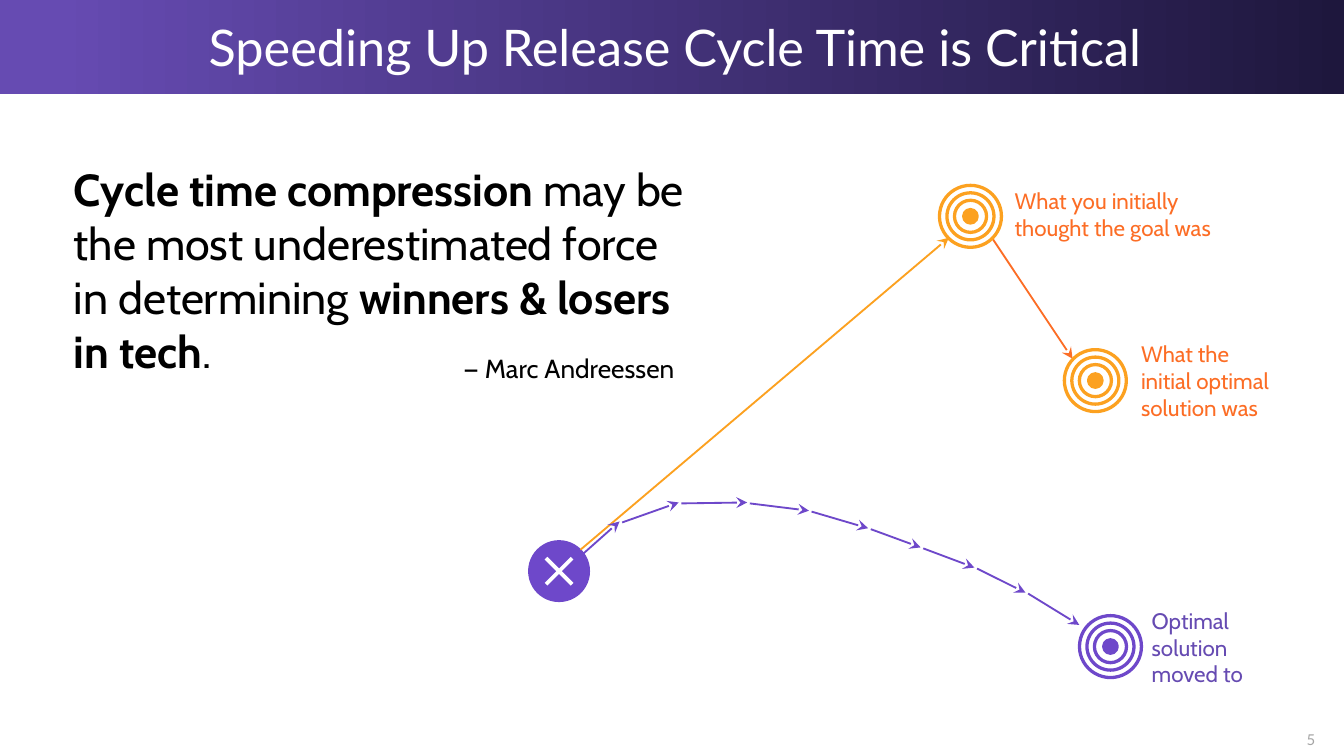
from itertools import pairwise

from lxml import etree
from pptx import Presentation
from pptx.dml.color import RGBColor
from pptx.enum.shapes import MSO_CONNECTOR, MSO_SHAPE
from pptx.enum.text import MSO_ANCHOR, PP_ALIGN
from pptx.oxml.ns import qn
from pptx.util import Pt

STRAIGHT = MSO_CONNECTOR.STRAIGHT
OVAL, RECTANGLE = MSO_SHAPE.OVAL, MSO_SHAPE.RECTANGLE
LEFT, CENTER = PP_ALIGN.LEFT, PP_ALIGN.CENTER
MIDDLE, TOP = MSO_ANCHOR.MIDDLE, MSO_ANCHOR.TOP

THEME = {
    "purple": "6E48CA", "violet": "664BB2", "night": "1E173D",
    "amber": "FCA120", "orange": "FC6D25",
    "black": "000000", "white": "FFFFFF", "gray": "A5A5A5",
    "heading": "Lato", "body": "Cabin",
    "title": 27, "quote": 24, "author": 14, "label": 12, "page": 8,
    "ring": 1.75, "cross": 2, "arrow": 1,
}

TITLE = "Speeding Up Release Cycle Time is Critical"
QUOTE = [
    ("Cycle time compression", True),
    (" may be the most underestimated force in determining ", False),
    ("winners & losers in tech", True),
    (".", False),
]
AUTHOR = "— Marc Andreessen"
PAGE = "5"

GOALS = [
    {"center": (519.9, 115.9), "color": "amber", "label": "What you initially thought the goal was",
     "label_color": "orange", "box": (543.6, 102.2, 106.6, 25.2)},
    {"center": (586.8, 203.9), "color": "amber", "label": "What the initial optimal solution was",
     "label_color": "orange", "box": (611.3, 183.6, 69.8, 41)},
    {"center": (594.9, 346.4), "color": "purple", "label": "Optimal solution moved to",
     "label_color": "violet", "box": (617, 326.2, 59, 41)},
]
RING_DIAMETERS = [33.2, 25.2, 17.2, 7.2]
START = (299.5, 306)
CROSS_REACH = 7

PLANNED_ARROWS = [
    ((311, 294.5), (508.3, 127.4), "amber"),
    ((531.4, 127.4), (574.6, 192.2), "orange"),
]
ITERATIONS = [
    (311.1, 296.1), (331.9, 279.4), (363.6, 269.2), (400.3, 269.2), (433.4, 273.6),
    (465.1, 283), (493.2, 293.3), (522, 304.1), (549.4, 317.5), (578.2, 334.8),
]
STEP_GAP = (1.4, 0.5)


def rgb(name):
    """Return a theme colour."""
    return RGBColor.from_string(THEME[name])


def style(run, size, color, font="body", bold=False):
    """Apply theme type to a run."""
    run.font.name = THEME[font]
    run.font.size = Pt(THEME[size])
    run.font.color.rgb = rgb(color)
    run.font.bold = bold


def set_frame(frame, inset, anchor=MIDDLE):
    """Set wrapping, anchor and equal margins of a text frame."""
    frame.word_wrap = True
    frame.vertical_anchor = anchor
    frame.margin_left = frame.margin_right = Pt(inset)
    frame.margin_top = frame.margin_bottom = Pt(inset)


def add_text(slide, box, pieces, size, color, font="body", inset=0, align=LEFT, anchor=MIDDLE):
    """Add a one-paragraph text box and return its paragraph."""
    frame = slide.shapes.add_textbox(*map(Pt, box)).text_frame
    set_frame(frame, inset, anchor)
    paragraph = frame.paragraphs[0]
    paragraph.alignment = align
    for words, bold in pieces:
        run = paragraph.add_run()
        run.text = words
        style(run, size, color, font, bold)
    return paragraph


def add_circle(slide, center, diameter, fill=None, outline=None):
    """Add a circle around a centre."""
    left, top = (value - diameter / 2 for value in center)
    circle = slide.shapes.add_shape(OVAL, Pt(left), Pt(top), Pt(diameter), Pt(diameter))
    circle.shadow.inherit = False
    if fill:
        circle.fill.solid()
        circle.fill.fore_color.rgb = rgb(fill)
    else:
        circle.fill.background()
    if outline:
        circle.line.color.rgb = rgb(outline)
        circle.line.width = Pt(THEME["ring"])
    else:
        circle.line.fill.background()


def add_line(slide, begin, end, color, width, arrow=False):
    """Add a straight line, optionally with an arrowhead at its end."""
    line = slide.shapes.add_connector(STRAIGHT, *map(Pt, (*begin, *end)))
    line.line.color.rgb = rgb(color)
    line.line.width = Pt(THEME[width])
    properties = line._element.spPr
    if arrow:
        etree.SubElement(properties.find(qn("a:ln")), qn("a:tailEnd"), type="stealth")
    etree.SubElement(properties, qn("a:effectLst"))


def add_header(slide):
    """Add the gradient band behind the title and format the title."""
    band = slide.shapes.add_shape(RECTANGLE, Pt(0), Pt(-0.5), Pt(720), Pt(51))
    band.shadow.inherit = False
    band.line.fill.background()
    band.fill.gradient()
    band.fill.gradient_angle = 180
    for stop, color, position in zip(band.fill.gradient_stops, ("night", "violet"), (0, 0.96)):
        stop.color.rgb = rgb(color)
        stop.position = position
    title = slide.shapes.title
    title._element.addprevious(band._element)
    title.left, title.top, title.width, title.height = map(Pt, (23.8, 13, 675.4, 23.8))
    title.text_frame.text = TITLE
    set_frame(title.text_frame, 7.2)
    paragraph = title.text_frame.paragraphs[0]
    paragraph.alignment = CENTER
    style(paragraph.runs[0], "title", "white", "heading")


def add_journey(slide):
    """Draw the start, the goals and the arrows between them."""
    add_circle(slide, START, RING_DIAMETERS[0], fill="purple")
    x, y = START
    for rise in (CROSS_REACH, -CROSS_REACH):
        add_line(slide, (x - CROSS_REACH, y - rise), (x + CROSS_REACH, y + rise), "white", "cross")
    for begin, end, color in PLANNED_ARROWS:
        add_line(slide, begin, end, color, "arrow", arrow=True)
    for (x, y), end in pairwise(ITERATIONS):
        add_line(slide, (x + STEP_GAP[0], y + STEP_GAP[1]), end, "purple", "arrow", arrow=True)
    for goal in GOALS:
        for diameter in RING_DIAMETERS:
            core = goal["color"] if diameter == RING_DIAMETERS[-1] else None
            add_circle(slide, goal["center"], diameter, core, goal["color"])
        add_text(slide, goal["box"], [(goal["label"], False)], "label", goal["label_color"])


def main():
    """Build the release cycle time slide."""
    deck = Presentation()
    deck.slide_width, deck.slide_height = Pt(720), Pt(405)
    slide = deck.slides.add_slide(deck.slide_layouts[5])
    add_header(slide)
    add_journey(slide)
    add_text(slide, (32.4, 85.7, 342, 117.4), QUOTE, "quote", "black", inset=7.2)
    add_text(slide, (241.2, 181.4, 133.2, 31.7), [(AUTHOR, False)], "author", "black", inset=7.2)
    page = add_text(slide, (684.7, 389.5, 35.3, 10), [(PAGE, False)], "page", "gray",
                    "heading", align=CENTER, anchor=TOP)
    page.line_spacing = 1.2
    deck.save("out.pptx")


if __name__ == "__main__":
    main()
